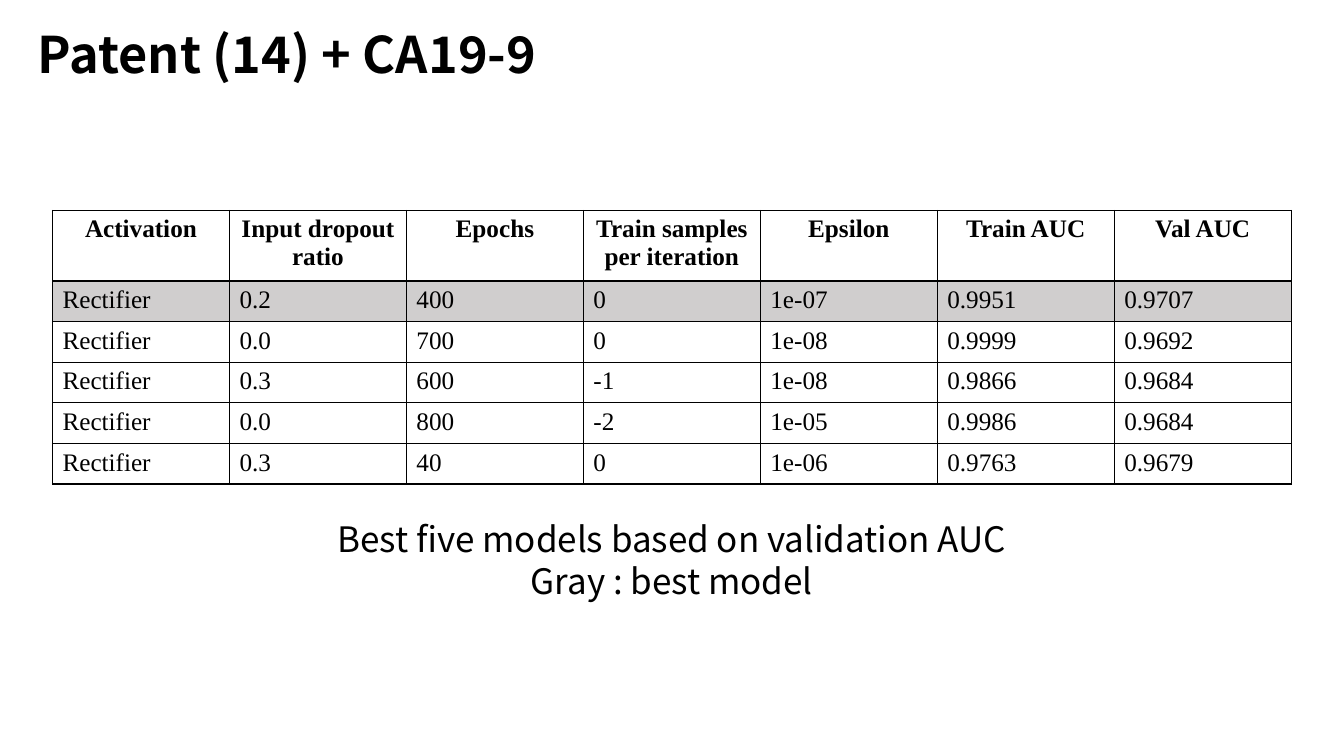
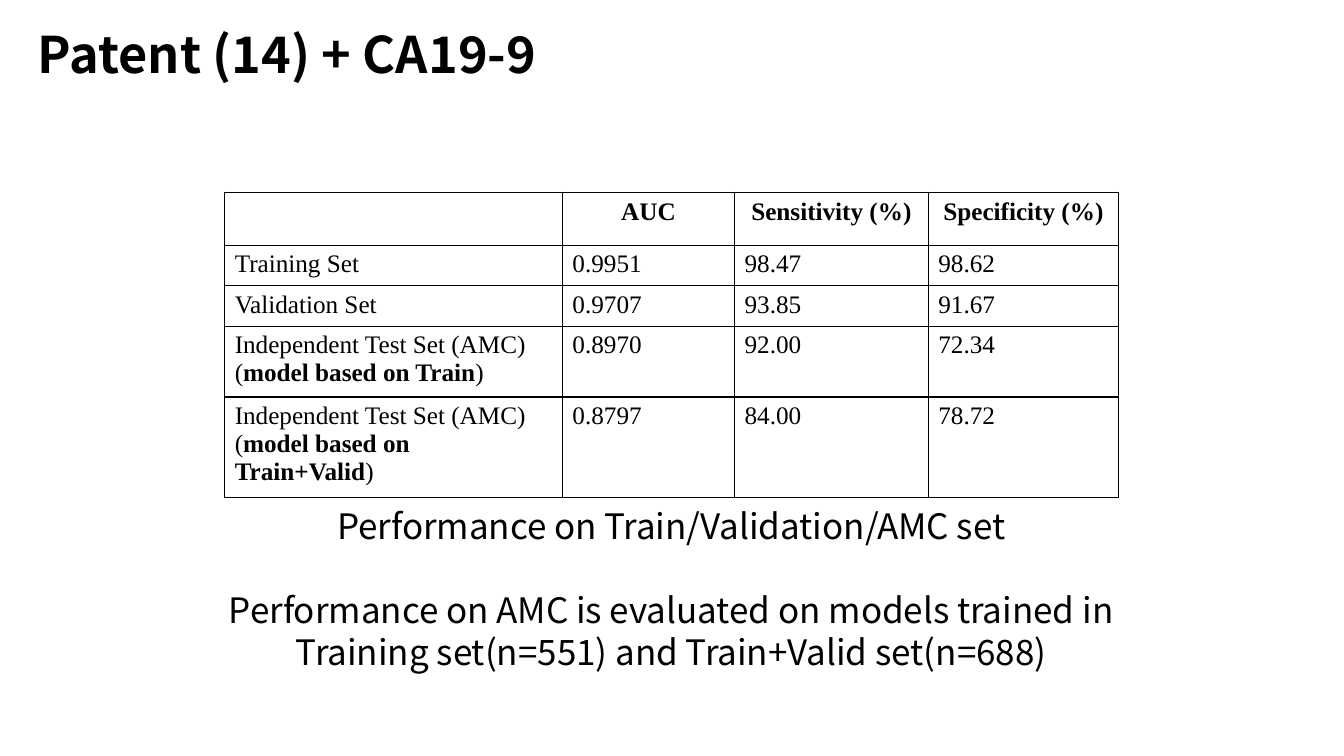
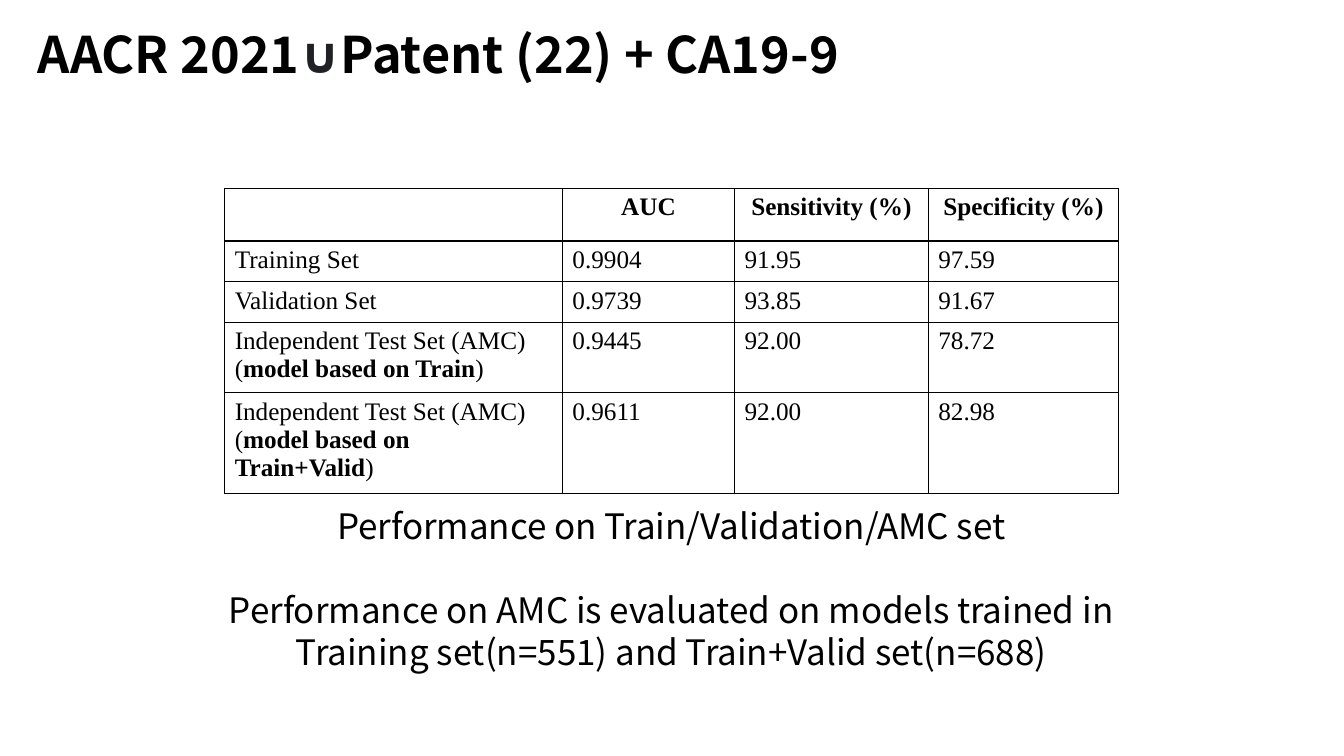
from dataclasses import dataclass

from lxml import etree
from pptx import Presentation
from pptx.dml.color import RGBColor
from pptx.enum.text import MSO_ANCHOR, PP_ALIGN
from pptx.oxml.ns import qn
from pptx.util import Pt

LEFT, CENTER = PP_ALIGN.LEFT, PP_ALIGN.CENTER
TOP, MIDDLE = MSO_ANCHOR.TOP, MSO_ANCHOR.MIDDLE

COLORS = {"ink": "000000", "union": "202124", "paper": "FFFFFF", "best": "D0CECE"}
SANS, SERIF = "Noto Sans CJK KR", "Times New Roman"

TITLE = {"name": SANS, "size": Pt(36), "bold": True}
UNION = {**TITLE, "name": "Lato"}
CAPTION = {"name": SANS, "size": Pt(25), "bold": False}
BODY = {"name": SERIF, "size": Pt(18), "bold": False}
HEAD = {**BODY, "bold": True}


@dataclass(frozen=True)
class Run:
    text: str
    fmt: dict
    color: str = "ink"


@dataclass(frozen=True)
class Box:
    left: float
    top: float
    width: float
    height: float


@dataclass(frozen=True)
class Grid:
    left: float
    top: float
    widths: list[float]
    head_height: float
    header: list[str]
    rows: list[list]
    best_row: int = 0


@dataclass(frozen=True)
class Page:
    title: list[Run]
    grid: Grid
    caption: list[str]
    caption_box: Box
    caption_gap: float = 0


TITLE_BOX = Box(20, -11.5, 828, 104.4)
ROW_HEIGHT = 29


def add_runs(p, runs: list[Run]) -> None:
    for run in runs:
        r = p.add_run()
        r.text = run.text
        for key, value in run.fmt.items():
            setattr(r.font, key, value)
        r.font.color.rgb = RGBColor.from_string(COLORS[run.color])


def fill_text(tf, paragraphs: list[list[Run]], align, gap: float = 0) -> None:
    for i, runs in enumerate(paragraphs):
        p = tf.add_paragraph() if i else tf.paragraphs[0]
        p.alignment = align
        if i and gap:
            p.space_before = Pt(gap)
        add_runs(p, runs)


def add_text(s, box: Box, paragraphs: list[list[Run]], align, anchor, gap: float = 0):
    sp = s.shapes.add_textbox(Pt(box.left), Pt(box.top), Pt(box.width), Pt(box.height))
    tf = sp.text_frame
    tf.word_wrap = True
    tf.vertical_anchor = anchor
    fill_text(tf, paragraphs, align, gap)
    return tf


def set_borders(cell) -> None:
    tc_pr = cell._tc.get_or_add_tcPr()
    for i, side in enumerate(("lnL", "lnR", "lnT", "lnB")):
        ln = etree.Element(qn(f"a:{side}"), w=str(Pt(1)))
        fill = etree.SubElement(ln, qn("a:solidFill"))
        etree.SubElement(fill, qn("a:srgbClr"), val=COLORS["ink"])
        tc_pr.insert(i, ln)


def cell_paragraphs(value, fmt: dict) -> list[list[Run]]:
    if isinstance(value, str):
        return [[Run(value, fmt)]] if value else []
    return value


def add_grid(s, grid: Grid) -> None:
    rows = [grid.header, *grid.rows]
    heights = [grid.head_height] + [ROW_HEIGHT] * len(grid.rows)
    table = s.shapes.add_table(
        len(rows), len(grid.widths), Pt(grid.left), Pt(grid.top),
        Pt(sum(grid.widths)), Pt(sum(heights)),
    ).table
    table.first_row = table.horz_banding = False
    for column, width in zip(table.columns, grid.widths):
        column.width = Pt(width)
    for i, (values, height) in enumerate(zip(rows, heights)):
        table.rows[i].height = Pt(height)
        fmt, align = (BODY, LEFT) if i else (HEAD, CENTER)
        color = "best" if i and i == grid.best_row else "paper"
        for j, value in enumerate(values):
            cell = table.cell(i, j)
            cell.fill.solid()
            cell.fill.fore_color.rgb = RGBColor.from_string(COLORS[color])
            set_borders(cell)
            fill_text(cell.text_frame, cell_paragraphs(value, fmt), align)


def test_set(basis: str) -> list[list[Run]]:
    return [
        [Run("Independent Test Set (AMC)", BODY)],
        [Run("(", BODY), Run(f"model based on {basis}", HEAD), Run(")", BODY)],
    ]


def performance_page(title: list[Run], top: float, scores: list[list[str]]) -> Page:
    labels = ["Training Set", "Validation Set", test_set("Train"), test_set("Train+Valid")]
    grid = Grid(
        160.5, top, [241.2, 123, 138.4, 136], 37.6,
        ["", "AUC", "Sensitivity (%)", "Specificity (%)"],
        [[label, *values] for label, values in zip(labels, scores)],
    )
    caption = [
        "Performance on Train/Validation/AMC set",
        "Performance on AMC is evaluated on models trained in "
        "Training set(n=551) and Train+Valid set(n=688)",
    ]
    return Page(title, grid, caption, Box(116.6, 357, 725.8, 128), 30)


def add_page(prs, page: Page) -> None:
    s = prs.slides.add_slide(prs.slide_layouts[6])
    add_grid(s, page.grid)
    tf = add_text(s, TITLE_BOX, [page.title], LEFT, MIDDLE)
    tf.paragraphs[0].line_spacing = 0.9
    lines = [[Run(line, CAPTION)] for line in page.caption]
    add_text(s, page.caption_box, lines, CENTER, TOP, page.caption_gap)


PATENT_TITLE = [Run("Patent (14) + CA19-9", TITLE)]
UNION_TITLE = [
    Run("AACR 2021", TITLE),
    Run("∪", UNION, "union"),
    Run("Patent (22) + CA19-9", TITLE),
]

MODELS = Grid(
    37.5, 150.3, [126.4] * 7, 50.5,
    ["Activation", "Input dropout ratio", "Epochs", "Train samples per iteration",
     "Epsilon", "Train AUC", "Val AUC"],
    [
        ["Rectifier", "0.2", "400", "0", "1e-07", "0.9951", "0.9707"],
        ["Rectifier", "0.0", "700", "0", "1e-08", "0.9999", "0.9692"],
        ["Rectifier", "0.3", "600", "-1", "1e-08", "0.9866", "0.9684"],
        ["Rectifier", "0.0", "800", "-2", "1e-05", "0.9986", "0.9684"],
        ["Rectifier", "0.3", "40", "0", "1e-06", "0.9763", "0.9679"],
    ],
    best_row=1,
)

PAGES = [
    Page(
        PATENT_TITLE, MODELS,
        ["Best five models based on validation AUC", "Gray : best model"],
        Box(180.7, 365.8, 598.3, 67.7),
    ),
    performance_page(PATENT_TITLE, 137.5, [
        ["0.9951", "98.47", "98.62"],
        ["0.9707", "93.85", "91.67"],
        ["0.8970", "92.00", "72.34"],
        ["0.8797", "84.00", "78.72"],
    ]),
    performance_page(UNION_TITLE, 134.6, [
        ["0.9904", "91.95", "97.59"],
        ["0.9739", "93.85", "91.67"],
        ["0.9445", "92.00", "78.72"],
        ["0.9611", "92.00", "82.98"],
    ]),
]


def main() -> None:
    prs = Presentation()
    prs.slide_width, prs.slide_height = Pt(960), Pt(540)
    for page in PAGES:
        add_page(prs, page)
    prs.save("out.pptx")


if __name__ == "__main__":
    main()
